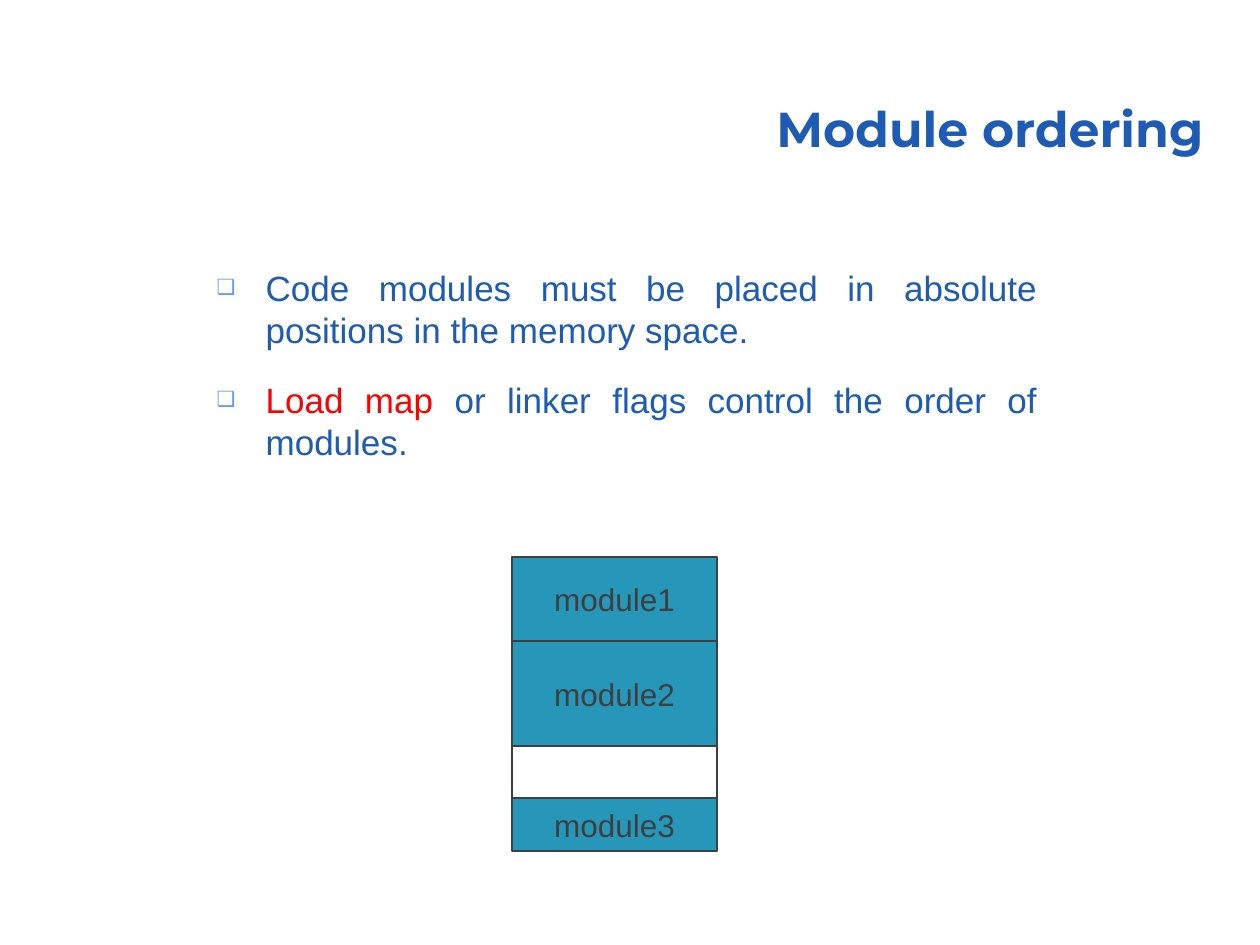
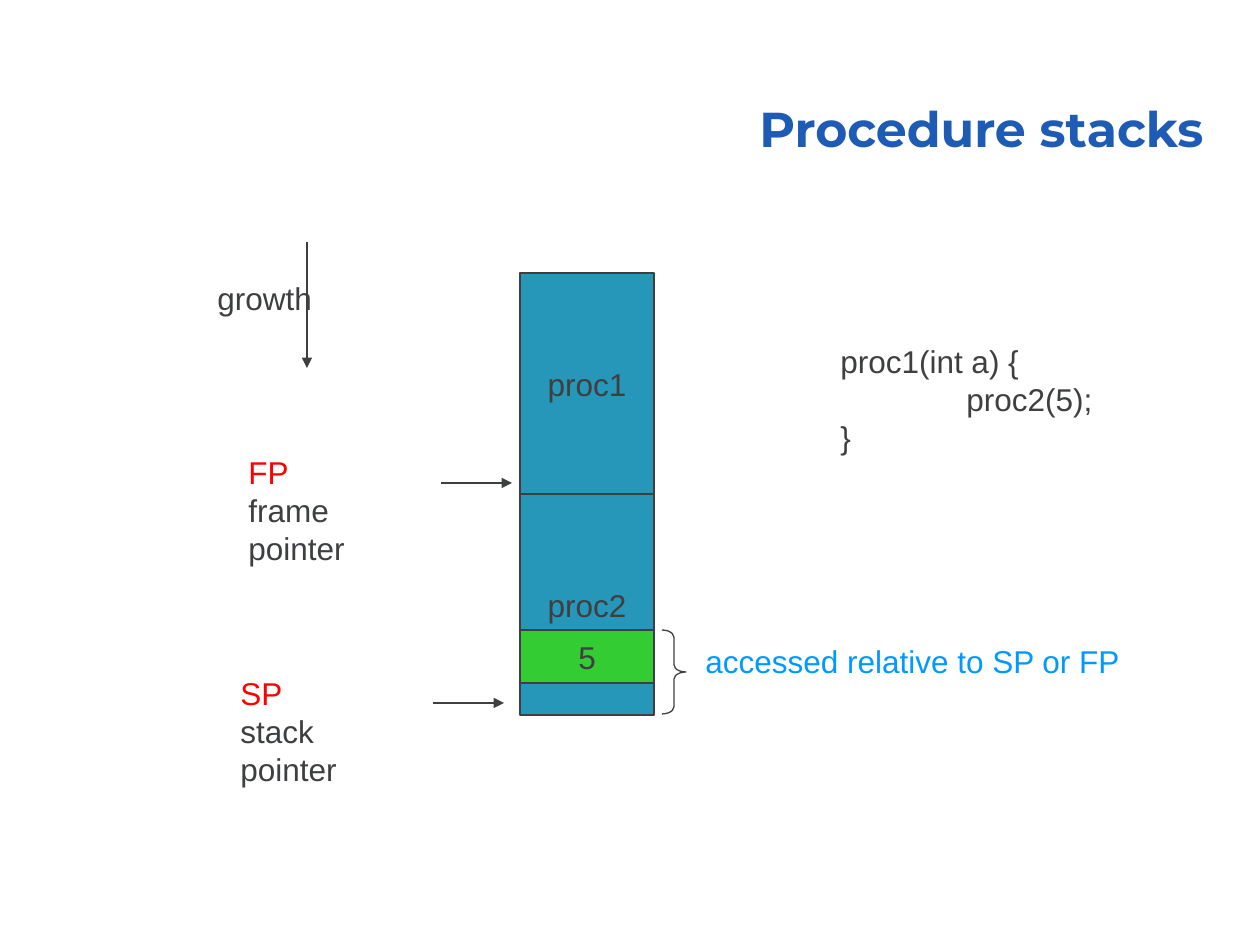
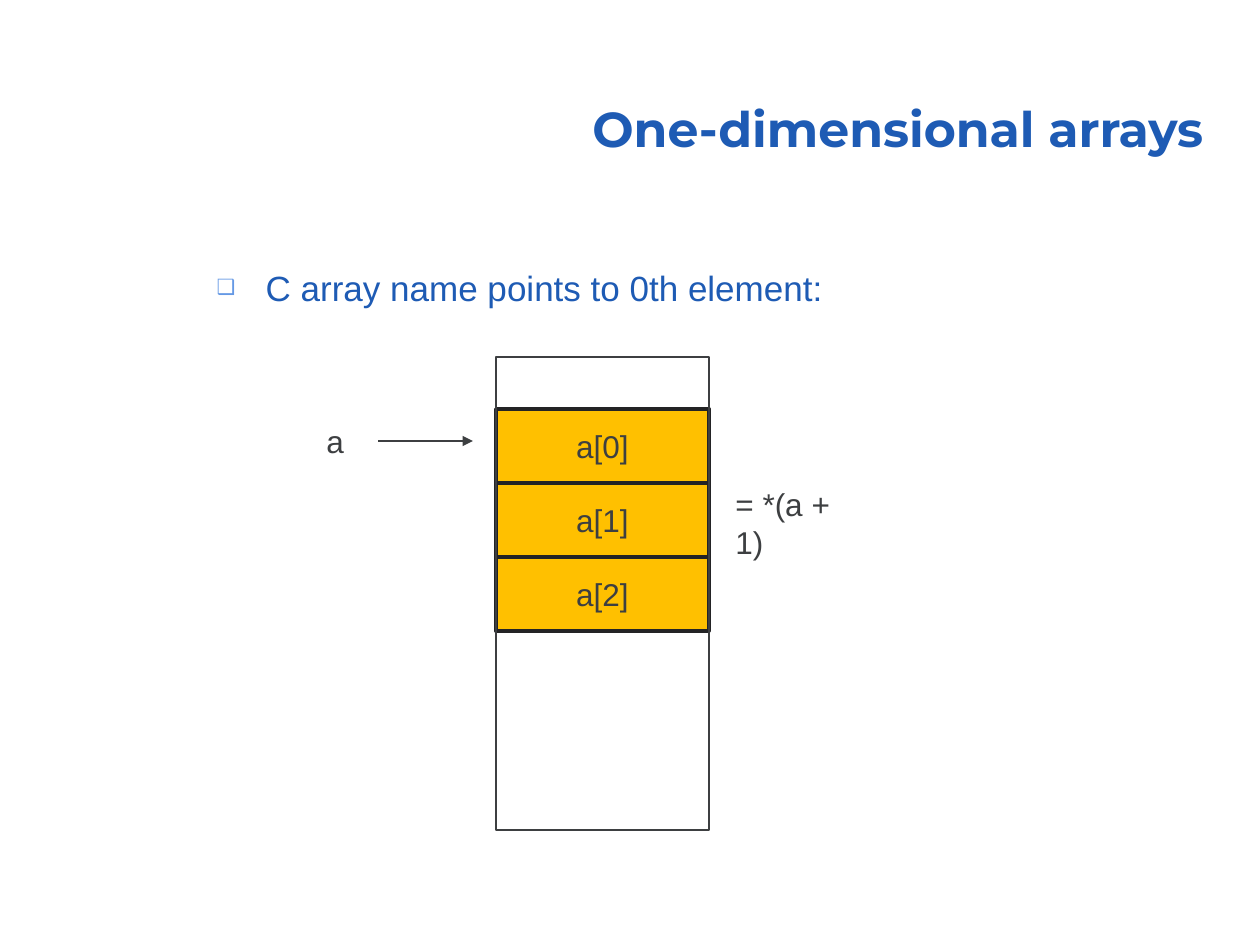
"""Build three slides on program memory: module order, procedure stacks and arrays."""
from lxml import etree
from pptx import Presentation, util as u
from pptx.dml.color import RGBColor
from pptx.enum import shapes, text
from pptx.oxml.ns import qn

BLUE = RGBColor(0x1E, 0x5B, 0xB4)
BULLET_BLUE = "6599E5"
RED = RGBColor(0xFF, 0x00, 0x00)
GREY = RGBColor(0x3D, 0x3F, 0x41)
DARK = RGBColor(0x23, 0x23, 0x25)
TEAL = RGBColor(0x27, 0x97, 0xB9)
GREEN = RGBColor(0x33, 0xCC, 0x33)
AMBER = RGBColor(0xFF, 0xC0, 0x00)
SKY = RGBColor(0x00, 0x99, 0xFF)
BODY_FONT = "Arial"
TITLE_FONT = "Montserrat"
PIXELS_PER_INCH = 126


def px(*lengths):
    return [u.Inches(length / PIXELS_PER_INCH) for length in lengths]


def add_runs(paragraph, runs, size=18, font=BODY_FONT, bold=False):
    for words, colour in runs:
        run = paragraph.add_run()
        run.text = words
        run.font.size = u.Pt(size)
        run.font.name = font
        run.font.bold = bold
        run.font.color.rgb = colour


presentation = Presentation()
presentation.slide_width, presentation.slide_height = px(1260, 945)
LIST_LAYOUT = presentation.slide_layouts[1]
TITLE_LAYOUT = presentation.slide_layouts[5]

pages = [
    ("Module ordering", LIST_LAYOUT, 307, [
        [("Code modules must be placed in absolute positions in the memory space.", BLUE)],
        [("Load map", RED), (" or linker flags control the order of modules.", BLUE)],
    ]),
    ("Procedure stacks", TITLE_LAYOUT, 0, []),
    ("One-dimensional arrays", LIST_LAYOUT, 97, [
        [("C array name points to 0th element:", BLUE)],
    ]),
]
for heading, layout, body_height, items in pages:
    slide = presentation.slides.add_slide(layout)
    title = slide.shapes.title
    title.left, title.top, title.width, title.height = px(370, 67, 846, 97)
    title.text_frame.auto_size = text.MSO_AUTO_SIZE.NONE
    title.text_frame.vertical_anchor = text.MSO_ANCHOR.BOTTOM
    paragraph = title.text_frame.paragraphs[0]
    paragraph.alignment = text.PP_ALIGN.RIGHT
    paragraph.line_spacing = 0.9
    add_runs(paragraph, [(heading, BLUE)], 28, TITLE_FONT, True)
    if not items:
        continue
    body = slide.placeholders[1]
    body.left, body.top, body.width, body.height = px(204, 260, 846, body_height)
    body.text_frame.auto_size = text.MSO_AUTO_SIZE.NONE
    for index, runs in enumerate(items):
        paragraph = body.text_frame.add_paragraph() if index else body.text_frame.paragraphs[0]
        properties = paragraph._p.get_or_add_pPr()
        indent = px(49)[0]
        properties.set("marL", str(indent))
        properties.set("indent", str(-indent))
        colour = etree.SubElement(properties, qn("a:buClr"))
        etree.SubElement(colour, qn("a:srgbClr"), val=BULLET_BLUE)
        etree.SubElement(properties, qn("a:buSzPct"), val="60000")
        etree.SubElement(properties, qn("a:buChar"), char="❑")
        paragraph.alignment = text.PP_ALIGN.JUSTIFY
        paragraph.space_before = u.Pt(16 if index else 0)
        add_runs(paragraph, runs, 20)

modules, stacks, arrays = presentation.slides

blocks = []
block_top = 557
for name, height, fill in [("module1", 84, TEAL), ("module2", 105, TEAL),
                           ("", 52, None), ("module3", 53, TEAL)]:
    blocks.append((modules, name, (512, block_top, 205, height), fill, GREY, 0.75))
    block_top += height
for index, name in enumerate(["proc1", "proc2"]):
    blocks.append((stacks, name, (520, 273 + 221 * index, 134, 221), TEAL, GREY, 0.75))
blocks.append((stacks, "5", (520, 630, 134, 53), GREEN, GREY, 0.75))
for index in range(3):
    blocks.append((arrays, f"a[{index}]", (496, 409 + 74 * index, 213, 74), AMBER, DARK, 2))
blocks.append((arrays, "", (496, 357, 213, 473), None, GREY, 0.75))

for slide, name, box, fill, line_colour, line_width in blocks:
    shape = slide.shapes.add_shape(shapes.MSO_SHAPE.RECTANGLE, *px(*box))
    shape.shadow.inherit = False
    if fill is None:
        shape.fill.background()
    else:
        shape.fill.solid()
        shape.fill.fore_color.rgb = fill
    shape.line.color.rgb = line_colour
    shape.line.width = u.Pt(line_width)
    if name:
        shape.text_frame.word_wrap = False
        shape.text_frame.vertical_anchor = text.MSO_ANCHOR.MIDDLE
        paragraph = shape.text_frame.paragraphs[0]
        paragraph.alignment = text.PP_ALIGN.CENTER
        add_runs(paragraph, [(name, GREY)])

brace = stacks.shapes.add_shape(shapes.MSO_SHAPE.RIGHT_BRACE, *px(662, 630, 24, 84))
brace.adjustments[0] = 0.3
brace.shadow.inherit = False
brace.fill.background()
brace.line.color.rgb = GREY
brace.line.width = u.Pt(0.75)

arrows = [
    (stacks, (307, 242, 307, 368)),
    (stacks, (433, 703, 504, 703)),
    (stacks, (441, 483, 512, 483)),
    (arrays, (378, 441, 473, 441)),
]
for slide, ends in arrows:
    arrow = slide.shapes.add_connector(shapes.MSO_CONNECTOR.STRAIGHT, *px(*ends))
    arrow.line.color.rgb = GREY
    arrow.line.width = u.Pt(0.75)
    etree.SubElement(arrow.line._get_or_add_ln(), qn("a:tailEnd"), type="triangle")
    etree.SubElement(arrow._element.spPr, qn("a:effectLst"))

labels = [
    (stacks, (205, 273, 120, 50), [("growth", GREY)]),
    (stacks, (828, 336, 277, 126),
     [("proc1(int a) {", GREY), ("\tproc2(5);", GREY), ("}", GREY)]),
    (stacks, (228, 668, 203, 88), [("SP", RED), ("stack pointer", GREY)]),
    (stacks, (236, 447, 210, 88), [("FP", RED), ("frame pointer", GREY)]),
    (stacks, (693, 636, 440, 50), [("accessed relative to SP or FP", SKY)]),
    (arrays, (314, 416, 43, 50), [("a", GREY)]),
    (arrays, (723, 479, 156, 50), [("= *(a + 1)", GREY)]),
]
for slide, box, lines in labels:
    frame = slide.shapes.add_textbox(*px(*box)).text_frame
    frame.word_wrap = False
    frame.auto_size = text.MSO_AUTO_SIZE.SHAPE_TO_FIT_TEXT
    for index, line in enumerate(lines):
        paragraph = frame.add_paragraph() if index else frame.paragraphs[0]
        if line[0].startswith("\t"):
            tabs = etree.SubElement(paragraph._p.get_or_add_pPr(), qn("a:tabLst"))
            etree.SubElement(tabs, qn("a:tab"), pos=str(u.Inches(1)), algn="l")
        add_runs(paragraph, [line])

presentation.save("out.pptx")
